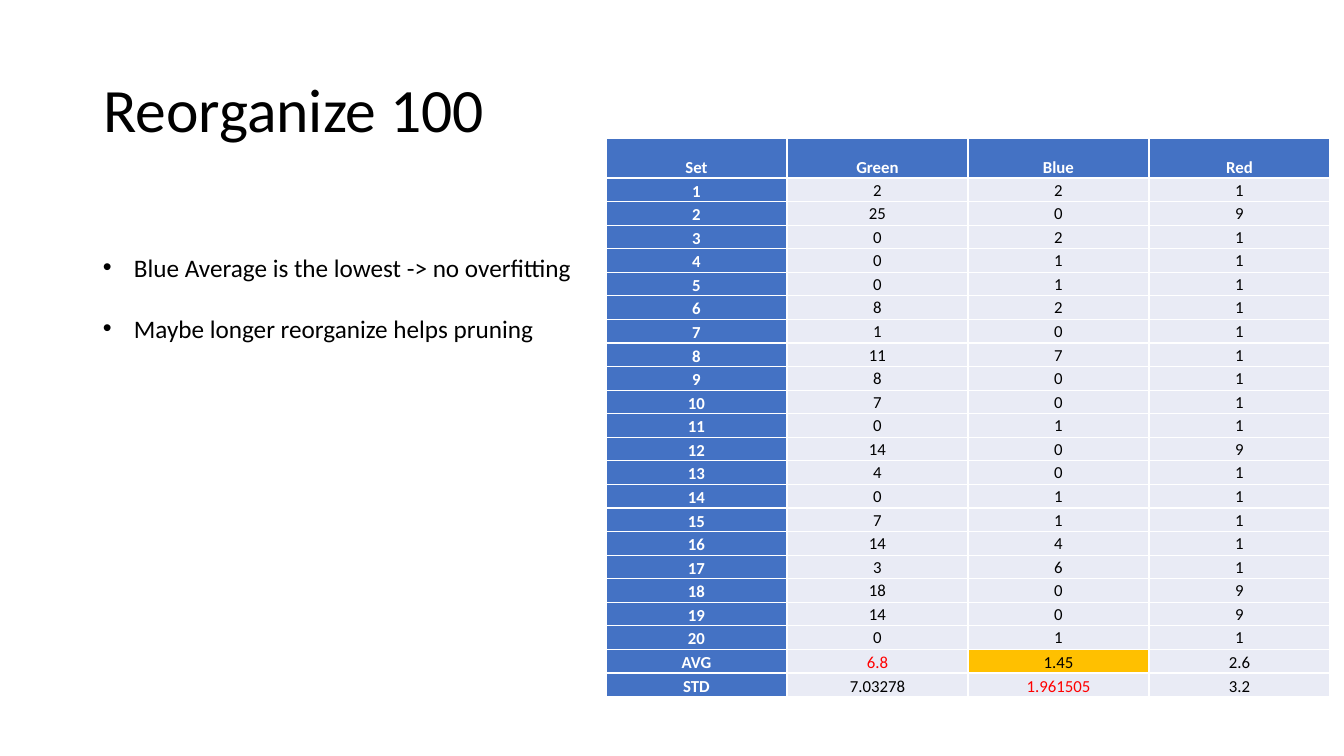
from pptx import Presentation
from pptx.dml.color import RGBColor
from pptx.enum.text import MSO_ANCHOR as Anchor, MSO_AUTO_SIZE as AutoSize, PP_ALIGN as Align
from pptx.oxml.ns import qn
from pptx.util import Emu, Pt
from lxml.etree import SubElement

FONT = "Calibri"
BLACK, WHITE, RED = "000000", "FFFFFF", "FF0000"
HEADING_BLUE, BODY_GREY, HIGHLIGHT = "4472C4", "E9EBF5", "FFC000"

HEADINGS = ["Set", "Green", "Blue", "Red"]
GREEN = [2, 25, 0, 0, 0, 8, 1, 11, 8, 7, 0, 14, 4, 0, 7, 14, 3, 18, 14, 0]
BLUE = [2, 0, 2, 1, 1, 2, 0, 7, 0, 0, 1, 0, 0, 1, 1, 4, 6, 0, 0, 1]
RED_SET = [1, 9, 1, 1, 1, 1, 1, 1, 1, 1, 1, 9, 1, 1, 1, 1, 1, 9, 9, 1]
SUMMARY = [["AVG", "6.8", "1.45", "2.6"], ["STD", "7.03278", "1.961505", "3.2"]]
RED_TEXT = {("AVG", "Green"), ("STD", "Blue")}
HIGHLIGHTED = {("AVG", "Blue")}
BULLETS = ["Blue Average is the lowest -> no overfitting",
           "Maybe longer reorganize helps pruning"]


def px(length):
    return Emu(round(length * 9072))


def color(hex_string):
    return RGBColor.from_string(hex_string)


def add_run(paragraph, text, size, hex_string, bold=False):
    run = paragraph.add_run()
    run.text = text
    run.font.name = FONT
    run.font.size = Pt(size)
    run.font.bold = bold
    run.font.color.rgb = color(hex_string)


def set_title(slide, text, left, top, width, height):
    title = slide.shapes.title
    title.left, title.top, title.width, title.height = map(px, (left, top, width, height))
    frame = title.text_frame
    frame.vertical_anchor = Anchor.MIDDLE
    paragraph = frame.paragraphs[0]
    paragraph.alignment = Align.LEFT
    paragraph.line_spacing = 0.9
    add_run(paragraph, text, 44, BLACK)


def fill_cell(cell, text, fill, text_color, bold, anchor):
    cell.fill.solid()
    cell.fill.fore_color.rgb = color(fill)
    cell.margin_left = cell.margin_top = cell.margin_right = px(1)
    cell.margin_bottom = 0
    cell.vertical_anchor = anchor
    paragraph = cell.text_frame.paragraphs[0]
    paragraph.alignment = Align.CENTER
    add_run(paragraph, text, 12, text_color, bold)


def add_results_table(slide, left, top, width, height, header_height):
    sets = [[number, *values] for number, values in enumerate(zip(GREEN, BLUE, RED_SET), 1)]
    rows = [HEADINGS, *sets, *SUMMARY]
    summary_start = len(rows) - len(SUMMARY)
    frame = slide.shapes.add_table(len(rows), len(HEADINGS), *map(px, (left, top, width, height)))
    table = frame.table
    table.first_col = True
    table.horz_banding = False
    for column in table.columns:
        column.width = px(width / len(HEADINGS))
    for index, row in enumerate(table.rows):
        row.height = px((height - header_height) / (len(rows) - 1) if index else header_height)

    for row_index, row in enumerate(rows):
        for column_index, value in enumerate(row):
            key = (row[0], HEADINGS[column_index])
            heading = row_index == 0 or column_index == 0
            if heading:
                fill, text_color = HEADING_BLUE, WHITE
            else:
                fill = HIGHLIGHT if key in HIGHLIGHTED else BODY_GREY
                text_color = RED if key in RED_TEXT else BLACK
            at_bottom = heading or row_index >= summary_start
            fill_cell(table.cell(row_index, column_index), str(value), fill, text_color,
                      heading, Anchor.BOTTOM if at_bottom else Anchor.MIDDLE)


def add_bullets(slide, left, top, width, height):
    box = slide.shapes.add_textbox(*map(px, (left, top, width, height)))
    frame = box.text_frame
    frame.word_wrap = True
    frame.auto_size = AutoSize.SHAPE_TO_FIT_TEXT
    for index, text in enumerate(BULLETS):
        paragraph = frame.add_paragraph() if index else frame.paragraphs[0]
        if index:
            paragraph.space_before = Pt(22)
        properties = paragraph._p.get_or_add_pPr()
        indent = px(31)
        properties.set("marL", str(indent))
        properties.set("indent", str(-indent))
        SubElement(properties, qn("a:buFont"), typeface="Arial")
        SubElement(properties, qn("a:buChar"), char="•")
        add_run(paragraph, text, 18, BLACK)


def main():
    presentation = Presentation()
    presentation.slide_width, presentation.slide_height = px(1344), px(756)
    slide = presentation.slides.add_slide(presentation.slide_layouts[5])
    set_title(slide, "Reorganize 100", 93, 40, 1159, 146)
    add_results_table(slide, 606, 138, 724, 559, header_height=40)
    add_bullets(slide, 93, 247, 498, 102)
    presentation.save("out.pptx")


if __name__ == "__main__":
    main()
